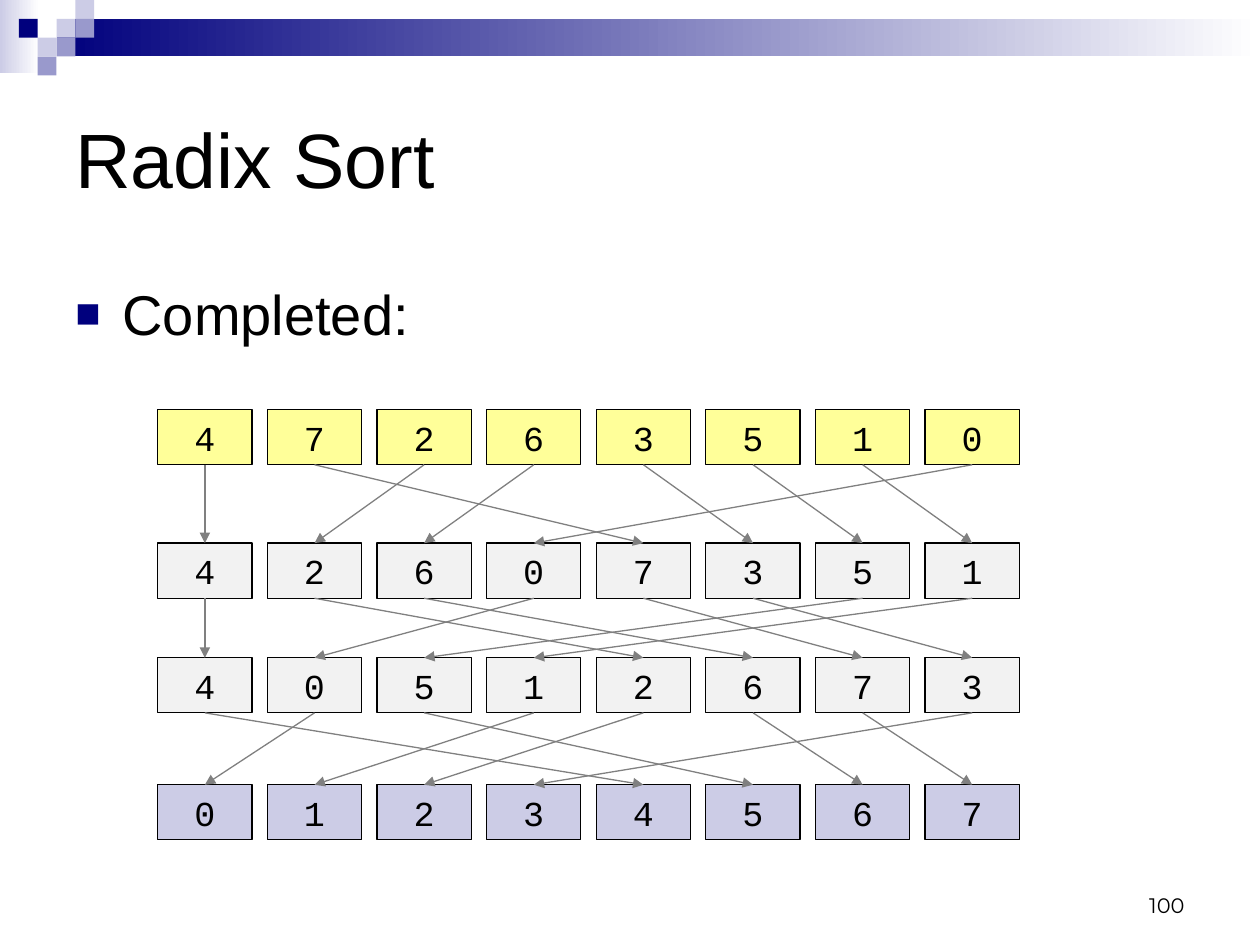
import pptx
import pptx.util
import pptx.dml.color
import pptx.enum.shapes
import pptx.enum.text
import lxml.etree

Cm, Pt = pptx.util.Cm, pptx.util.Pt
ALIGN = pptx.enum.text.PP_ALIGN
ANCHOR = pptx.enum.text.MSO_ANCHOR
RECTANGLE = pptx.enum.shapes.MSO_SHAPE.RECTANGLE
STRAIGHT = pptx.enum.shapes.MSO_CONNECTOR.STRAIGHT

texts = [
    ("Radix Sort", (1.27, 1.27, 22.86, 3.81), "Arial", 44,
     {"vertical_anchor": ANCHOR.MIDDLE}, {}),
    ("Completed:", (1.27, 5.51, 22.86, 1.91), "Arial", 32,
     {"vertical_anchor": ANCHOR.TOP}, {"space_before": Pt(6.4)}),
    ("100", (18.21, 17.35, 5.92, 1.27), "Montserrat", 12,
     {"vertical_anchor": ANCHOR.BOTTOM}, {"alignment": ALIGN.RIGHT}),
]
passes = [
    ("47263510", 8.26, "FFFF99"),
    ("42607351", 10.95, "F2F2F2"),
    ("40512673", 13.26, "F2F2F2"),
    ("01234567", 15.82, "CCCCE6"),
]
fades = [
    ((0, 0, 0.79, 1.47), "CCCCE6"),
    ((1.14, 0.38, 24.26, 0.76), "00007D"),
]
mosaic = [
    (3, 1, "CCCCE6"), (4, 0, "CCCCE6"), (4, 1, "9999CC"), (2, 2, "CCCCE6"),
    (1, 1, "00007D"), (3, 2, "9999CC"), (2, 3, "9999CC"),
]
TILE = 0.38
CELL_LEFT, CELL_STEP, CELL_WIDTH, CELL_HEIGHT = 3.18, 2.21, 1.9, 1.11


def color(value):
    return pptx.dml.color.RGBColor.from_string(value)


def apply(target, formats):
    for key, value in formats.items():
        setattr(target, key, value)


def add_xml(parent, tag, **attributes):
    return lxml.etree.SubElement(parent, pptx.oxml.ns.qn(tag), attributes)


def write(frame, text, font, size, frame_formats, paragraph_formats):
    apply(frame, {"word_wrap": True, **frame_formats})
    paragraph = frame.paragraphs[0]
    apply(paragraph, paragraph_formats)
    run = paragraph.add_run()
    run.text = text
    apply(run.font, {"name": font, "size": Pt(size)})
    run.font.color.rgb = color("000000")
    return paragraph


def add_box(box, fill=None):
    shape = slide.shapes.add_shape(RECTANGLE, *map(Cm, box))
    shape.shadow.inherit = False
    shape.line.fill.background()
    if fill:
        shape.fill.solid()
        shape.fill.fore_color.rgb = color(fill)
    return shape


def add_fade(box, start):
    fade = add_box(box).fill
    fade.gradient()
    fade.gradient_angle = 0
    for stop, value in zip(fade.gradient_stops, (start, "FFFFFF")):
        stop.color.rgb = color(value)


def add_cell(digit, column, top, fill):
    cell = add_box((CELL_LEFT + column * CELL_STEP, top, CELL_WIDTH, CELL_HEIGHT), fill)
    cell.line.color.rgb = color("000000")
    cell.line.width = Pt(0.75)
    write(cell.text_frame, digit, "Courier New", 20,
          {"vertical_anchor": ANCHOR.MIDDLE}, {"alignment": ALIGN.CENTER})


def add_arrow(start_column, start_y, end_column, end_y):
    start_x, end_x = (CELL_LEFT + CELL_WIDTH / 2 + column * CELL_STEP
                      for column in (start_column, end_column))
    arrow = slide.shapes.add_connector(STRAIGHT, *map(Cm, (start_x, start_y, end_x, end_y)))
    arrow.line.color.rgb = color("808080")
    arrow.line.width = Pt(0.75)
    add_xml(arrow.line._get_or_add_ln(), "a:tailEnd", type="triangle")
    add_xml(arrow._element.spPr, "a:effectLst")


def add_bullet(paragraph):
    properties = paragraph._p.get_or_add_pPr()
    properties.set("marL", str(Cm(0.95)))
    properties.set("indent", str(-Cm(0.95)))
    add_xml(add_xml(properties, "a:buClr"), "a:srgbClr", val="00007D")
    add_xml(properties, "a:buSzPct", val="75000")
    add_xml(properties, "a:buFont", typeface="Arial")
    add_xml(properties, "a:buChar", char="■")


deck = pptx.Presentation()
apply(deck, {"slide_width": Cm(25.4), "slide_height": Cm(19.05)})
slide = deck.slides.add_slide(deck.slide_layouts[6])

for box, start in fades:
    add_fade(box, start)
for column, row, fill in mosaic:
    add_box((column * TILE, row * TILE, TILE, TILE), fill)

for text, box, *formats in texts:
    frame = slide.shapes.add_textbox(*map(Cm, box)).text_frame
    paragraph = write(frame, text, *formats)
    if text == "Completed:":
        add_bullet(paragraph)

for digits, top, fill in passes:
    for column, digit in enumerate(digits):
        add_cell(digit, column, top, fill)

for (digits, top, _), (sorted_digits, next_top, _) in zip(passes, passes[1:]):
    for column, digit in enumerate(digits):
        add_arrow(column, top + CELL_HEIGHT, sorted_digits.index(digit), next_top)

deck.save("out.pptx")
